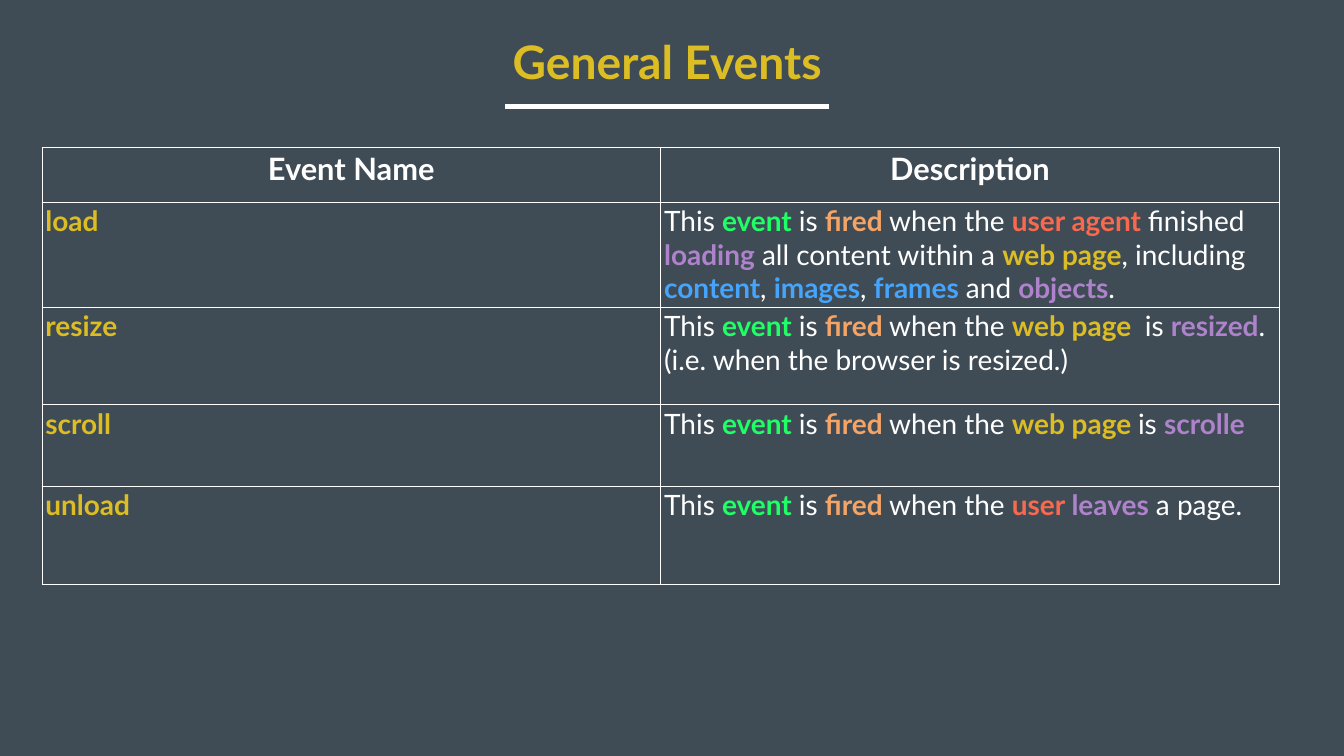
from dataclasses import dataclass

from lxml import etree
from pptx import Presentation
from pptx import util as u
from pptx.dml.color import RGBColor
from pptx.enum import shapes, text
from pptx.oxml.ns import qn

WIDTH, HEIGHT = u.Inches(26.67), u.Inches(15)


@dataclass(frozen=True)
class Theme:
    font: str = "Lato"
    background: str = "404C55"
    plain: str = "FFFFFF"
    name: str = "DCBD23"
    event: str = "1FFF66"
    fired: str = "F4A467"
    user: str = "FA694E"
    action: str = "AF82CC"
    content: str = "45A4FC"
    title_size: int = 66
    header_size: int = 44
    body_size: int = 40
    rule_width: int = 8
    border_width: int = 1


THEME = Theme()

# Each piece of a description is (words, colour role); every role but plain is bold.
OPENING = [("This ", "plain"), ("event", "event"), (" is ", "plain"),
           ("fired", "fired"), (" when the ", "plain")]
HEADERS = ["Event Name", "Description"]
EVENTS = [
    ("load", [("user agent ", "user"), ("finished ", "plain"), ("loading", "action"),
              (" all content within a ", "plain"), ("web page", "name"),
              (", including ", "plain"), ("content", "content"), (", ", "plain"),
              ("images", "content"), (", ", "plain"), ("frames", "content"),
              (" and ", "plain"), ("objects", "action"), (".", "plain")]),
    ("resize", [("web page  ", "name"), ("is ", "plain"), ("resized", "action"),
                (". (i.e. when the browser is resized.)", "plain")]),
    ("scroll", [("web page ", "name"), ("is ", "plain"), ("scrolle", "action")]),
    ("unload", [("user ", "user"), ("leaves", "action"), (" a page.", "plain")]),
]
ROW_HEIGHTS = [1.08, 1.94, 1.94, 1.62, 1.94]


def box(left, top, width, height):
    """Turn shares of the slide into lengths."""
    return (round(left * WIDTH), round(top * HEIGHT),
            round(width * WIDTH), round(height * HEIGHT))


def write_runs(paragraph, pieces, size, bold_plain=False):
    for words, role in pieces:
        run = paragraph.add_run()
        run.text = words
        run.font.name = THEME.font
        run.font.size = u.Pt(size)
        run.font.bold = bold_plain or role != "plain"
        run.font.color.rgb = RGBColor.from_string(getattr(THEME, role))


def add_title(slide, area):
    """Place the heading with a rule below it, across the area's width."""
    left, top, width, height = area
    rule_top = top + height
    title = slide.shapes.add_textbox(left, top, width, u.Inches(1.21))
    title.text_frame.word_wrap = False
    paragraph = title.text_frame.paragraphs[0]
    paragraph.alignment = text.PP_ALIGN.CENTER
    write_runs(paragraph, [("General Events", "name")], THEME.title_size)

    rule = slide.shapes.add_connector(shapes.MSO_CONNECTOR.STRAIGHT,
                                      left, rule_top, left + width, rule_top)
    rule.line.color.rgb = RGBColor.from_string(THEME.plain)
    rule.line.width = u.Pt(THEME.rule_width)
    etree.SubElement(rule._element.spPr, qn("a:effectLst"))


def style_cell(cell):
    cell.margin_left = cell.margin_right = u.Inches(0.07)
    cell.margin_top = cell.margin_bottom = u.Inches(0.04)
    properties = cell._tc.get_or_add_tcPr()
    for side in ("lnL", "lnR", "lnT", "lnB"):
        border = etree.SubElement(properties, qn(f"a:{side}"),
                                  w=str(u.Pt(THEME.border_width)))
        fill = etree.SubElement(border, qn("a:solidFill"))
        etree.SubElement(fill, qn("a:srgbClr"), val=THEME.plain)
    cell.fill.background()


def add_event_table(slide, area):
    table = slide.shapes.add_table(len(EVENTS) + 1, len(HEADERS), *area).table
    table.horz_banding = False
    for row, height in zip(table.rows, ROW_HEIGHTS):
        row.height = u.Inches(height)
    for cell in table.iter_cells():
        style_cell(cell)

    for column, header in enumerate(HEADERS):
        paragraph = table.cell(0, column).text_frame.paragraphs[0]
        paragraph.alignment = text.PP_ALIGN.CENTER
        write_runs(paragraph, [(header, "plain")], THEME.header_size, bold_plain=True)
    for row, (name, ending) in enumerate(EVENTS, start=1):
        for column, pieces in enumerate(([(name, "name")], OPENING + ending)):
            paragraph = table.cell(row, column).text_frame.paragraphs[0]
            write_runs(paragraph, pieces, THEME.body_size)


def main():
    presentation = Presentation()
    presentation.slide_width, presentation.slide_height = WIDTH, HEIGHT
    slide = presentation.slides.add_slide(presentation.slide_layouts[6])
    slide.background.fill.solid()
    slide.background.fill.fore_color.rgb = RGBColor.from_string(THEME.background)
    add_title(slide, box(10.02 / 26.67, 0.62 / 15, 6.44 / 26.67, 1.49 / 15))
    add_event_table(slide, box(0.83 / 26.67, 2.93 / 15, 24.56 / 26.67, 8.52 / 15))
    presentation.save("out.pptx")


if __name__ == "__main__":
    main()
